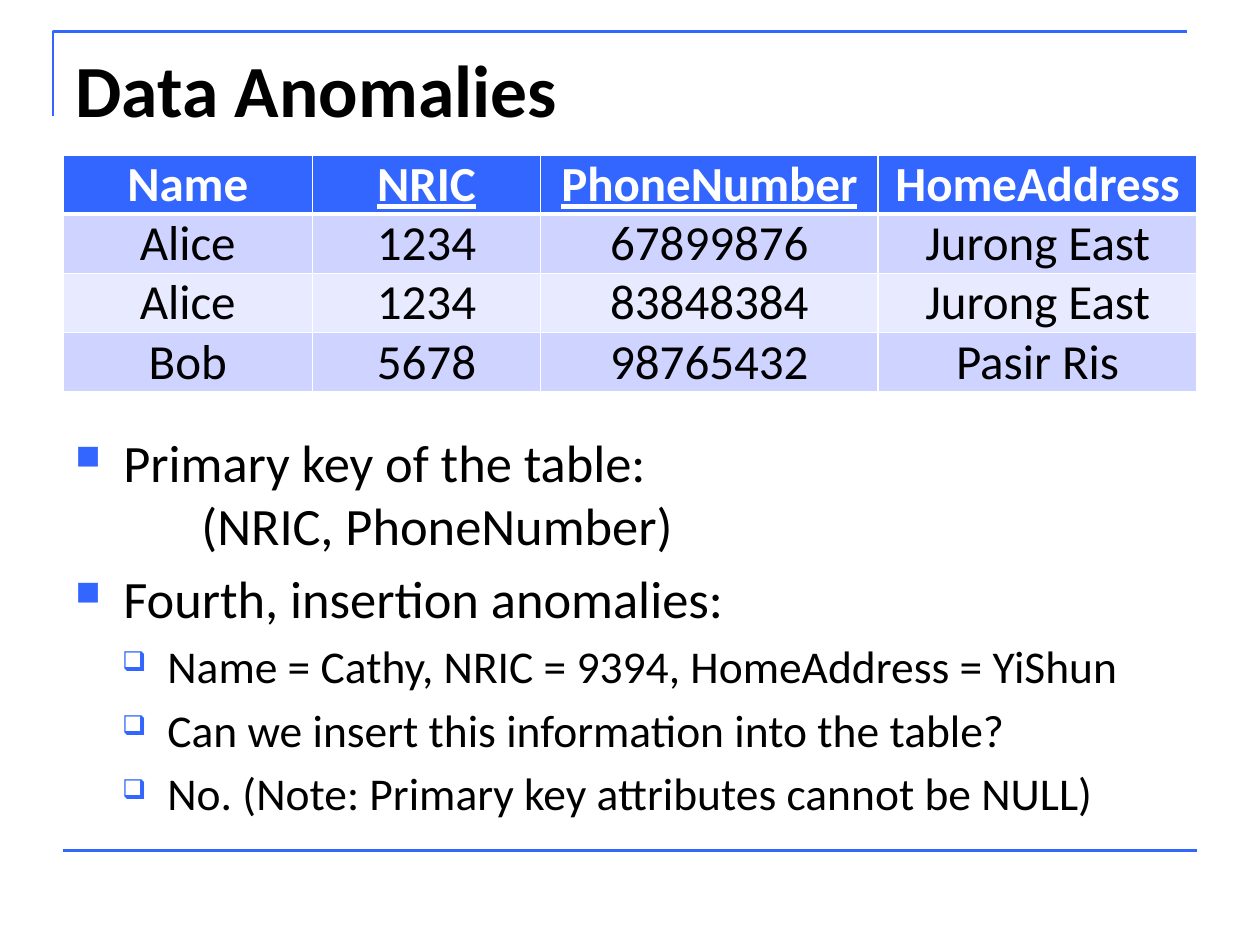
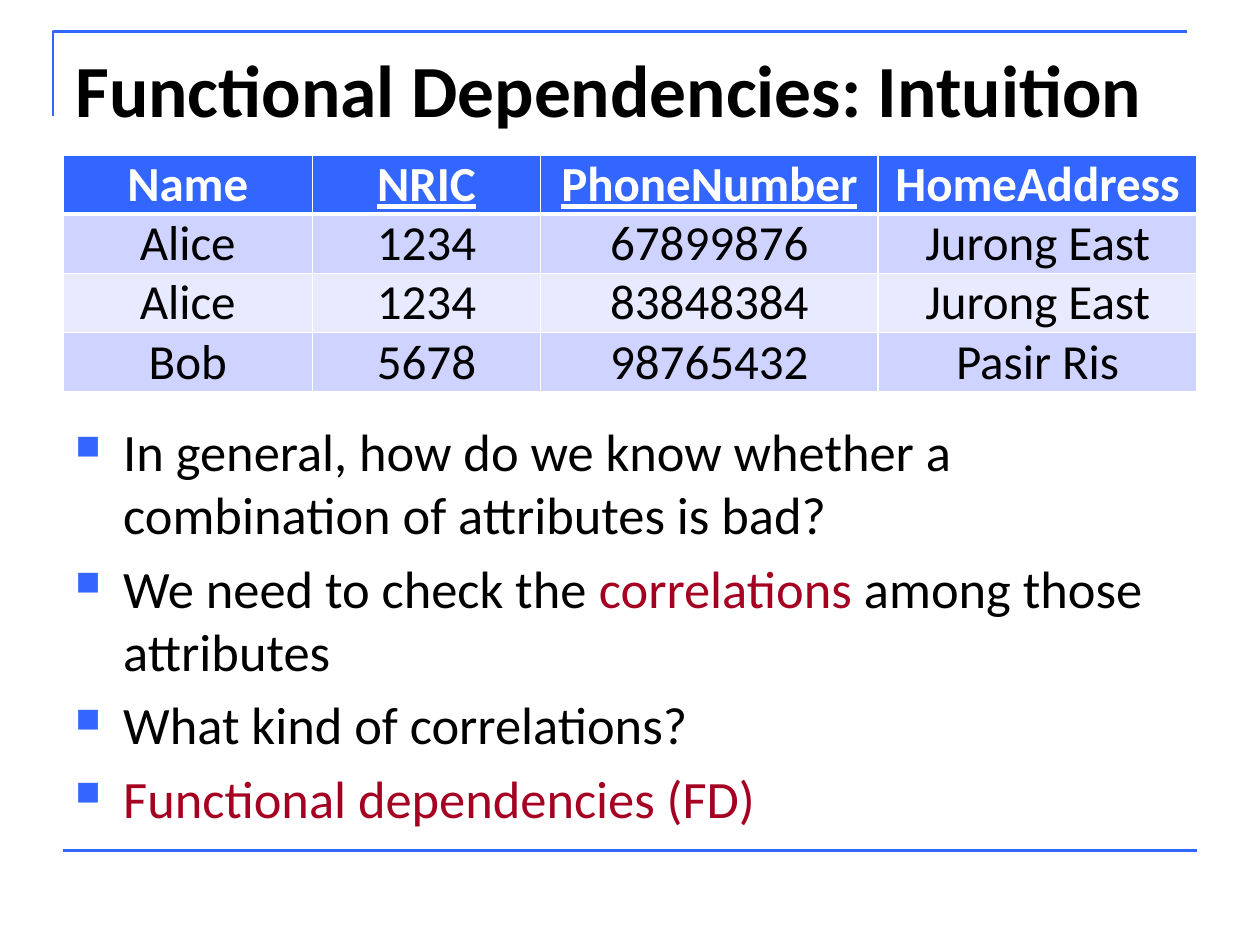
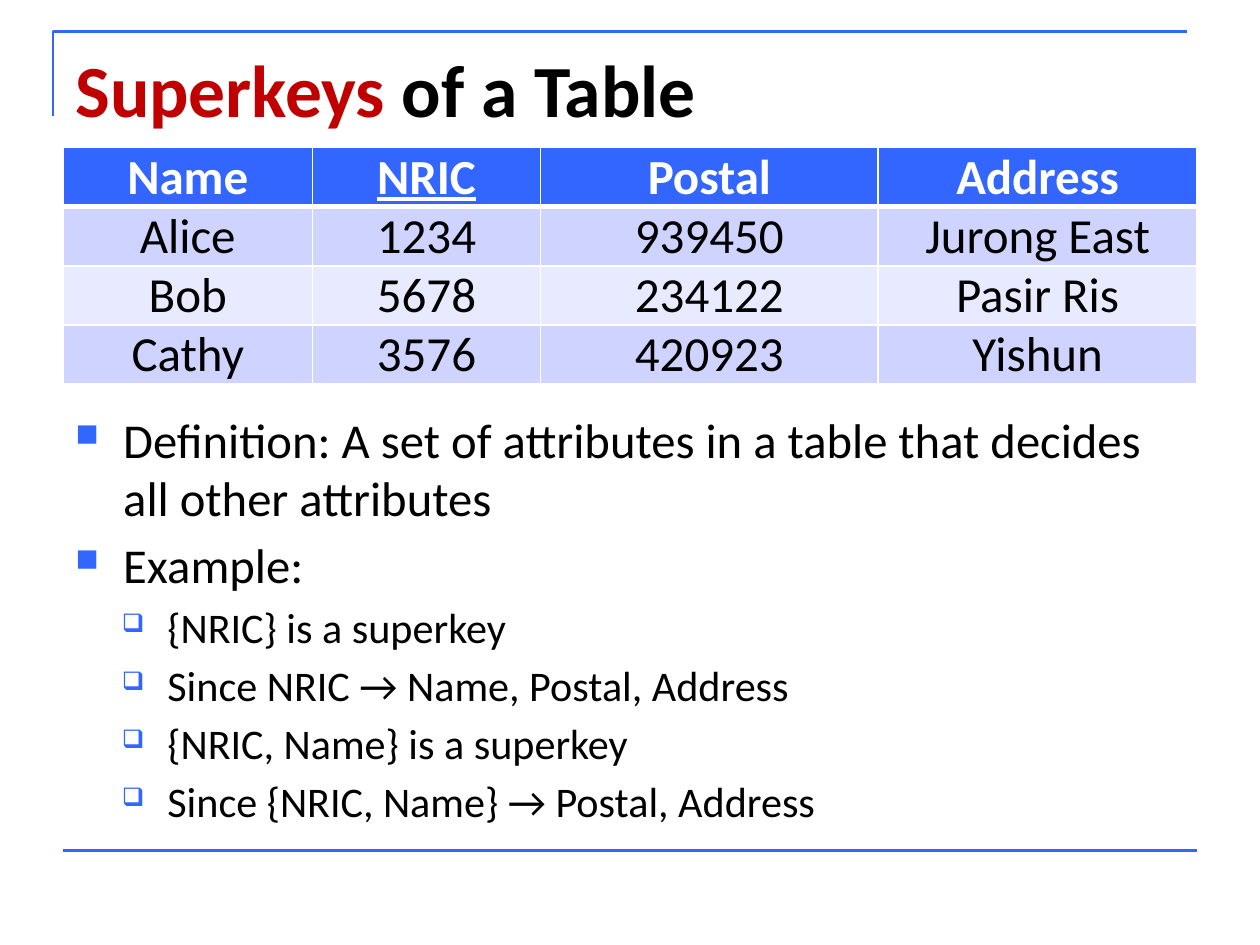
from dataclasses import dataclass

from lxml.etree import SubElement
from pptx import Presentation
from pptx.dml.color import RGBColor
from pptx.enum.shapes import MSO_CONNECTOR
from pptx.enum.text import MSO_ANCHOR, PP_ALIGN
from pptx.oxml.ns import qn
from pptx.util import Inches, Pt


@dataclass(frozen=True)
class Theme:
    font: str = "Calibri"
    blue: str = "3366FF"
    black: str = "000000"
    white: str = "FFFFFF"
    crimson: str = "A50021"
    red: str = "C00000"
    stripes: tuple = ("CED3FF", "E8EAFF")
    title_size: float = 42
    table_size: float = 28
    body_sizes: tuple = (30, 26)
    compact_sizes: tuple = (27.8, 24.1)
    rule_width: float = 1.5


THEME = Theme()

# Per outline level: bullet, bullet size in percent, left margin, hanging indent
BULLETS = (("■", 65, 0.38, 0.38), ("❑", 60, 0.73, 0.36))
COLUMN_WIDTHS = (1.98, 1.81, 2.68, 2.53)
ROW_HEIGHT = 0.47

PHONE_TABLE = (
    ("Name", "NRIC", "PhoneNumber", "HomeAddress"),
    ("Alice", "1234", "67899876", "Jurong East"),
    ("Alice", "1234", "83848384", "Jurong East"),
    ("Bob", "5678", "98765432", "Pasir Ris"),
)
POSTAL_TABLE = (
    ("Name", "NRIC", "Postal", "Address"),
    ("Alice", "1234", "939450", "Jurong East"),
    ("Bob", "5678", "234122", "Pasir Ris"),
    ("Cathy", "3576", "420923", "Yishun"),
)


def rgb(color):
    return RGBColor.from_string(color)


def add_run(paragraph, text, size, color=THEME.black, bold=False, underline=False):
    run = paragraph.add_run()
    run.text = text
    font = run.font
    font.name = THEME.font
    font.size = Pt(size)
    font.bold = bold
    font.underline = underline
    font.color.rgb = rgb(color)


def add_runs(paragraph, runs, size, bold=False):
    """Add (text, color) runs; a newline in a text becomes a line break."""
    for text, color in runs:
        for index, line in enumerate(text.split("\n")):
            if index:
                paragraph.add_line_break()
            add_run(paragraph, line, size, color, bold)


def add_text_frame(slide, left, top, width, height):
    text_frame = slide.shapes.add_textbox(
        Inches(left), Inches(top), Inches(width), Inches(height)).text_frame
    text_frame.word_wrap = True
    text_frame.vertical_anchor = MSO_ANCHOR.TOP
    return text_frame


# Frame shared by all slides
def style_rule(shape):
    shape.line.color.rgb = rgb(THEME.blue)
    shape.line.width = Pt(THEME.rule_width)


def add_frame(slide):
    builder = slide.shapes.build_freeform(Inches(0.42), Inches(0.92))
    builder.add_line_segments(
        [(Inches(0.42), Inches(0.25)), (Inches(9.42), Inches(0.25))], close=False)
    corner = builder.convert_to_shape()
    corner.shadow.inherit = False
    corner.fill.background()
    style_rule(corner)

    footer_rule = slide.shapes.add_connector(
        MSO_CONNECTOR.STRAIGHT, Inches(0.5), Inches(6.75), Inches(9.5), Inches(6.75))
    style_rule(footer_rule)
    SubElement(footer_rule._element.spPr, qn("a:effectLst"))


def add_title(slide, runs):
    text_frame = add_text_frame(slide, 0.5, 0.3, 9, 1.25)
    add_runs(text_frame.paragraphs[0], runs, THEME.title_size, bold=True)


# Bulleted body text
def set_bullet(paragraph, level):
    character, percent, margin, hanging = BULLETS[level]
    properties = paragraph._p.get_or_add_pPr()
    properties.set("marL", str(Inches(margin)))
    properties.set("indent", str(-Inches(hanging)))
    color = SubElement(properties, qn("a:buClr"))
    SubElement(color, qn("a:srgbClr"), val=THEME.blue)
    SubElement(properties, qn("a:buSzPct"), val=str(percent * 1000))
    SubElement(properties, qn("a:buChar"), char=character)
    tabs = SubElement(properties, qn("a:tabLst"))
    SubElement(tabs, qn("a:tab"), pos=str(Inches(1)), algn="l")


def add_body(slide, top, items, sizes=THEME.body_sizes, spacing=0.2, width=9):
    """Add (level, runs) items; spacing is a share of the type size."""
    text_frame = add_text_frame(slide, 0.5, top, width, 6.71 - top)
    for index, (level, runs) in enumerate(items):
        paragraph = text_frame.add_paragraph() if index else text_frame.paragraphs[0]
        set_bullet(paragraph, level)
        paragraph.level = level
        if index:
            paragraph.space_before = Pt(sizes[level] * spacing)
        add_runs(paragraph, runs, sizes[level])


def plain(level, text, color=THEME.black):
    return level, [(text, color)]


# Tables
def set_borders(cell, bottom):
    properties = cell._tc.get_or_add_tcPr()
    for side, width in (("L", 1), ("R", 1), ("T", 1), ("B", bottom)):
        line = SubElement(properties, qn(f"a:ln{side}"), w=str(Pt(width)))
        fill = SubElement(line, qn("a:solidFill"))
        SubElement(fill, qn("a:srgbClr"), val=THEME.white)


def add_data_table(slide, top, rows, keys):
    """Add a striped table whose key columns are underlined in the header."""
    table = slide.shapes.add_table(
        len(rows), len(COLUMN_WIDTHS), Inches(0.5), Inches(top),
        Inches(sum(COLUMN_WIDTHS)), Inches(ROW_HEIGHT * len(rows))).table
    for column, width in zip(table.columns, COLUMN_WIDTHS):
        column.width = Inches(width)
    for row_index, values in enumerate(rows):
        header = row_index == 0
        fill = THEME.blue if header else THEME.stripes[(row_index - 1) % 2]
        table.rows[row_index].height = Inches(ROW_HEIGHT)
        for column_index, value in enumerate(values):
            cell = table.cell(row_index, column_index)
            cell.margin_left = cell.margin_right = Inches(0.1)
            cell.margin_top = cell.margin_bottom = 0
            set_borders(cell, bottom=3 if header else 1)
            cell.fill.solid()
            cell.fill.fore_color.rgb = rgb(fill)
            paragraph = cell.text_frame.paragraphs[0]
            paragraph.alignment = PP_ALIGN.CENTER
            add_run(paragraph, value, THEME.table_size,
                    THEME.white if header else THEME.black,
                    bold=header, underline=header and value in keys)


def add_slide(presentation, title_runs):
    slide = presentation.slides.add_slide(presentation.slide_layouts[6])
    add_frame(slide)
    add_title(slide, title_runs)
    return slide


def main():
    presentation = Presentation()
    presentation.slide_width = Inches(10)
    presentation.slide_height = Inches(7.5)
    phone_keys = ("NRIC", "PhoneNumber")

    # Insertion anomalies
    slide = add_slide(presentation, [("Data Anomalies", THEME.black)])
    add_body(slide, 3.36, [
        plain(0, "Primary key of the table:\n\t(NRIC, PhoneNumber)"),
        plain(0, "Fourth, insertion anomalies:"),
        plain(1, "Name = Cathy, NRIC = 9394, HomeAddress = YiShun"),
        plain(1, "Can we insert this information into the table?"),
        plain(1, "No. (Note: Primary key attributes cannot be NULL)"),
    ], width=9.22)
    add_data_table(slide, 1.23, PHONE_TABLE, phone_keys)

    # Functional dependencies
    slide = add_slide(
        presentation, [("Functional Dependencies: Intuition", THEME.black)])
    add_body(slide, 3.28, [
        plain(0, "In general, how do we know whether a combination of "
                 "attributes is bad?"),
        (0, [("We need to check the ", THEME.black),
             ("correlations", THEME.crimson),
             (" among those attributes", THEME.black)]),
        plain(0, "What kind of correlations?"),
        plain(0, "Functional dependencies (FD)", THEME.crimson),
    ])
    add_data_table(slide, 1.23, PHONE_TABLE, phone_keys)

    # Superkeys
    slide = add_slide(
        presentation, [("Superkeys", THEME.red), (" of a Table", THEME.black)])
    add_body(slide, 3.2, [
        plain(0, "Definition: A set of attributes in a table that decides "
                 "all other attributes"),
        plain(0, "Example:"),
        plain(1, "{NRIC} is a superkey"),
        plain(1, "Since NRIC → Name, Postal, Address"),
        plain(1, "{NRIC, Name} is a superkey"),
        plain(1, "Since {NRIC, Name} → Postal, Address"),
    ], THEME.compact_sizes, spacing=0.18)
    add_data_table(slide, 1.17, POSTAL_TABLE, ("NRIC",))

    presentation.save("out.pptx")


if __name__ == "__main__":
    main()
